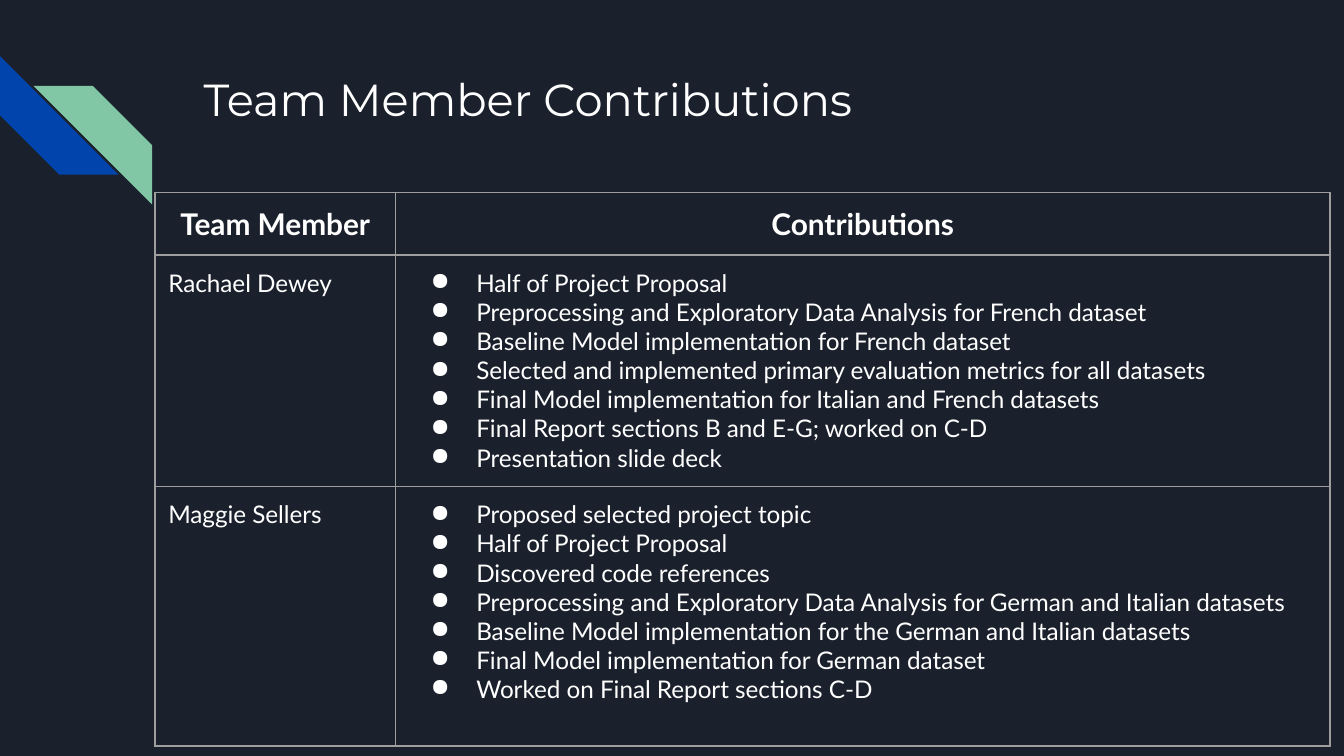
import dataclasses

import lxml.etree
import pptx
import pptx.dml.color
import pptx.enum.shapes
import pptx.enum.text
import pptx.oxml.ns
import pptx.util

Pt = pptx.util.Pt
rgb = pptx.dml.color.RGBColor.from_string
qn = pptx.oxml.ns.qn
LEFT = pptx.enum.text.PP_ALIGN.LEFT
MID = pptx.enum.text.PP_ALIGN.CENTER


@dataclasses.dataclass(frozen=True)
class Theme:
    back: str = "1B212C"
    blue: str = "0145AC"
    green: str = "82C7A5"
    ink: str = "FFFFFF"
    rule: str = "9E9E9E"
    head: str = "Montserrat"
    body: str = "Lato"
    title: float = 24
    label: float = 16
    text: float = 13
    pad: float = 7.2


THEME = Theme()

TEAM = [
    ("Rachael Dewey", [
        "Half of Project Proposal",
        "Preprocessing and Exploratory Data Analysis for French dataset",
        "Baseline Model implementation for French dataset",
        "Selected and implemented primary evaluation metrics for all datasets",
        "Final Model implementation for Italian and French datasets",
        "Final Report sections B and E-G; worked on C-D",
        "Presentation slide deck",
    ]),
    ("Maggie Sellers", [
        "Proposed selected project topic",
        "Half of Project Proposal",
        "Discovered code references",
        "Preprocessing and Exploratory Data Analysis for German and Italian datasets",
        "Baseline Model implementation for the German and Italian datasets",
        "Final Model implementation for German dataset",
        "Worked on Final Report sections C-D",
    ]),
]


def put(thing, values):
    for name, value in values.items():
        setattr(thing, name, value)


def node(parent, tag, **values):
    return lxml.etree.SubElement(parent, qn(tag), values)


def pad(thing):
    sides = ("left", "top", "right", "bottom")
    put(thing, {f"margin_{side}": Pt(THEME.pad) for side in sides})


def stripe(slide, left, top, fill, turn=0, flip=False):
    kind = pptx.enum.shapes.MSO_SHAPE.DIAGONAL_STRIPE
    shape = slide.shapes.add_shape(kind, Pt(left), Pt(top), Pt(63.5), Pt(63.5))
    shape.adjustments[0] = 0.5
    shape.rotation = turn
    shape.shadow.inherit = False
    shape.fill.solid()
    shape.fill.fore_color.rgb = rgb(fill)
    shape.line.fill.background()
    if flip:
        shape._element.spPr.xfrm.set("flipH", "1")


def bullet(para):
    props = para._p.get_or_add_pPr()
    props.set("marL", str(Pt(36)))
    props.set("indent", str(Pt(-24.5)))
    node(node(props, "a:buClr"), "a:srgbClr", val=THEME.ink)
    node(props, "a:buChar", char="●")


def write(frame, lines, size, font=THEME.body, bold=False, align=LEFT, dots=False):
    for index, line in enumerate(lines):
        para = frame.add_paragraph() if index else frame.paragraphs[0]
        para.alignment = align
        if dots:
            bullet(para)
        run = para.add_run()
        run.text = line
        put(run.font, {"name": font, "size": Pt(size), "bold": bold})
        run.font.color.rgb = rgb(THEME.ink)


def title(slide, text):
    box = slide.shapes.add_textbox(Pt(102), Pt(31), Pt(554.5), Pt(72))
    box.text_frame.word_wrap = True
    pad(box.text_frame)
    write(box.text_frame, [text], THEME.title, THEME.head)


def edge(cell):
    props = cell._tc.get_or_add_tcPr()
    for index, side in enumerate("LRTB"):
        line = node(props, f"a:ln{side}", w=str(Pt(0.75)))
        node(node(line, "a:solidFill"), "a:srgbClr", val=THEME.rule)
        props.insert(index, line)


def fill(cell, lines, **style):
    cell.fill.background()
    pad(cell)
    edge(cell)
    write(cell.text_frame, lines, **style)


def grid(slide, heads, team):
    wide, high = (129, 500.5), (33.5, 124, 139)
    frame = slide.shapes.add_table(
        len(high), len(wide), Pt(83), Pt(103), Pt(sum(wide)), Pt(sum(high)))
    table = frame.table
    put(table, {"first_row": False, "horz_banding": False})
    for col, width in zip(table.columns, wide):
        col.width = Pt(width)
    for row, height in zip(table.rows, high):
        row.height = Pt(height)
    for col, head in enumerate(heads):
        fill(table.cell(0, col), [head], size=THEME.label, bold=True, align=MID)
    for row, (name, tasks) in enumerate(team, 1):
        fill(table.cell(row, 0), [name], size=THEME.text)
        fill(table.cell(row, 1), tasks, size=THEME.text, dots=True)


def main():
    deck = pptx.Presentation()
    put(deck, {"slide_width": Pt(720), "slide_height": Pt(405)})
    slide = deck.slides.add_slide(deck.slide_layouts[6])
    slide.background.fill.solid()
    slide.background.fill.fore_color.rgb = rgb(THEME.back)
    stripe(slide, 0, 30, THEME.blue, turn=270)
    stripe(slide, 18, 46, THEME.green, flip=True)
    title(slide, "Team Member Contributions")
    grid(slide, ("Team Member", "Contributions"), TEAM)
    deck.save("out.pptx")


main()
